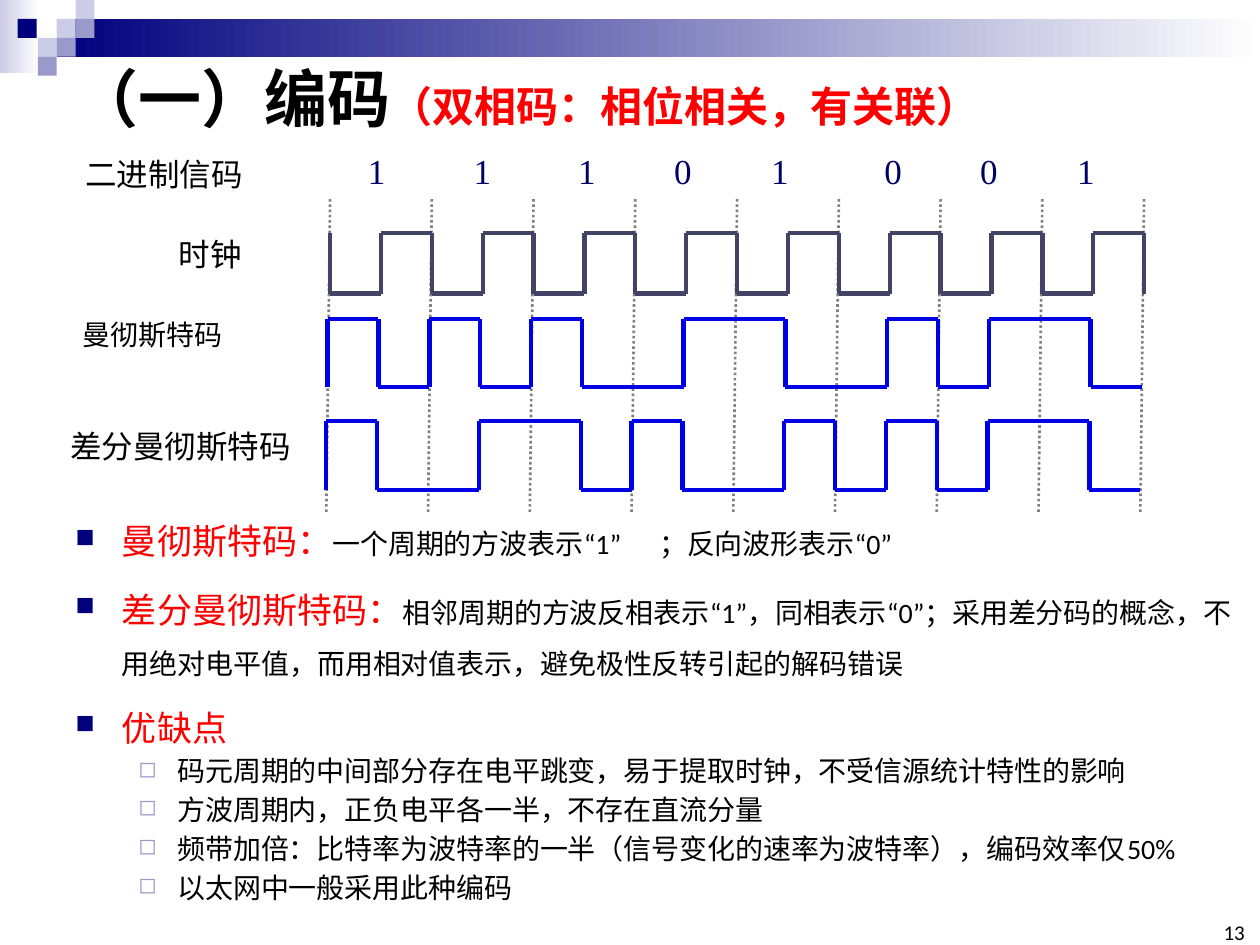
from lxml.etree import SubElement
from pptx import Presentation
from pptx.dml.color import RGBColor
from pptx.enum.dml import MSO_LINE
from pptx.enum.shapes import MSO_CONNECTOR, MSO_SHAPE
from pptx.enum.text import MSO_ANCHOR as Anchor, MSO_AUTO_SIZE as AutoSize, PP_ALIGN as Align
from pptx.oxml.ns import qn
from pptx.util import Inches, Pt

COLORS = {
    "navy": "00007D", "lilac": "9999CC", "pale": "CCCCE6", "white": "FFFFFF",
    "black": "000000", "red": "FF0000", "bits": "000066",
    "grid": "808080", "clock": "434365", "code": "0000E4",
}
CALIBRI, NOTO, TIMES = "Calibri", "Noto Sans CJK SC", "Times New Roman"


def add_run(paragraph, text, size, color="black", face=CALIBRI, bold=False):
    run = paragraph.add_run()
    run.text = text
    for name, value in {"size": Pt(size), "name": face, "bold": bold}.items():
        setattr(run.font, name, value)
    run.font.color.rgb = RGBColor.from_string(COLORS[color])
    SubElement(run.font._element, qn("a:ea"), typeface=face)
    return run


def add_line(start, end, color, width):
    line = slide.shapes.add_connector(
        MSO_CONNECTOR.STRAIGHT, *(Inches(v) for v in (*start, *end)))
    line.line.color.rgb = RGBColor.from_string(COLORS[color])
    line.line.width = Pt(width)
    SubElement(line._element.spPr, qn("a:effectLst"))
    return line


prs = Presentation()
prs.slide_width, prs.slide_height = Inches(10), Inches(7.5)
slide = prs.slides.add_slide(prs.slide_layouts[5])

# Header band and mosaic: a pair of colours is a gradient
HEADER = [
    (0, 0, 0.31, 0.58, ("pale", "white")),
    (0.45, 0.15, 9.55, 0.3, ("navy", "white")),
]
MOSAIC = [(0.45, 0.15, "pale"), (0.6, 0, "pale"), (0.6, 0.15, "lilac"), (0.3, 0.3, "pale"),
          (0.14, 0.15, "navy"), (0.45, 0.3, "lilac"), (0.3, 0.45, "lilac")]
HEADER += [(x, y, 0.15, 0.15, (color,)) for x, y, color in MOSAIC]
for *place, tones in HEADER:
    tile = slide.shapes.add_shape(MSO_SHAPE.RECTANGLE, *(Inches(v) for v in place))
    tile.shadow.inherit = False
    tile.line.fill.background()
    if len(tones) == 2:
        tile.fill.gradient()
        tile.fill.gradient_angle = 0
        for stop, tone in zip(tile.fill.gradient_stops, tones):
            stop.color.rgb = RGBColor.from_string(COLORS[tone])
    else:
        tile.fill.solid()
        tile.fill.fore_color.rgb = RGBColor.from_string(COLORS[tones[0]])

# Title
title = slide.shapes.title
for name, value in {"left": 0.5, "top": 0.33, "width": 9, "height": 0.89}.items():
    setattr(title, name, Inches(value))
for name, value in {"auto_size": AutoSize.NONE, "vertical_anchor": Anchor.MIDDLE}.items():
    setattr(title.text_frame, name, value)
heading = title.text_frame.paragraphs[0]
heading.alignment = Align.LEFT
add_run(heading, "（一）编码", 36, face=NOTO, bold=True)
add_run(heading, "（双相码：相位相关，有关联）", 24, "red", NOTO, True)

# Row labels: place, text, size, face, wrap
LABELS = [
    ((0.58, 1.18, 1.53, 0.4), "二进制信码", 18, NOTO, False),
    ((1.32, 1.82, 0.71, 0.4), "时钟", 18, NOTO, False),
    ((0.56, 2.47, 1.8, 0.37), "曼彻斯特码", 16, CALIBRI, True),
    ((0.46, 3.34, 2.14, 0.4), "差分曼彻斯特码", 18, CALIBRI, True),
]
for place, text, size, face, wrap in LABELS:
    label = slide.shapes.add_textbox(*(Inches(v) for v in place)).text_frame
    label.word_wrap = wrap
    add_run(label.paragraphs[0], text, size, face=face)

# Binary code, each bit centred on its own tab stop
BITS = "11101001"
BIT_TABS = [0.34, 1.18, 2.01, 2.77, 3.54, 4.44, 5.2, 5.97]
bit_row = slide.shapes.add_textbox(
    Inches(2.55), Inches(1.14), Inches(6.85), Inches(0.44)).text_frame
bit_row.word_wrap = True
bit_line = bit_row.paragraphs[0]
tab_list = SubElement(bit_line._p.get_or_add_pPr(), qn("a:tabLst"))
for tab in BIT_TABS:
    SubElement(tab_list, qn("a:tab"), pos=str(Inches(tab)), algn="ctr")
add_run(bit_line, "".join("\t" + bit for bit in BITS), 20, "bits", TIMES)

# Dotted bit boundaries, slightly slanted
GRID_LEFT, GRID_RIGHT = 2.62, 9.08
bit_width = (GRID_RIGHT - GRID_LEFT) / len(BITS)
for i in range(len(BITS) + 1):
    x = GRID_LEFT + i * bit_width
    boundary = add_line((x, 1.58), (x - 0.03, 4.07), "grid", 1.5)
    boundary.line.dash_style = MSO_LINE.ROUND_DOT

# Levels per half bit: 1 is high-low in Manchester, and flips the phase in the differential code
manchester, differential, phase = "", "", "LH"
for bit in BITS:
    manchester += "HL" if bit == "1" else "LH"
    if bit == "1":
        phase = phase[::-1]
    differential += phase

# Waveforms: left, high y, low y, levels, level before, level after, colour
WAVES = [
    (2.62, 1.85, 2.33, "LH" * len(BITS), "H", "L", "clock"),
    (2.6, 2.53, 3.07, manchester, "L", "L", "code"),
    (2.59, 3.34, 3.89, differential, "L", "L", "code"),
]
half = bit_width / 2
for left, high, low, levels, before, after, color in WAVES:
    level_y = {"H": high, "L": low}
    for i, level in enumerate(levels + after):
        x = left + i * half
        if level != before:
            add_line((x, low), (x, high), color, 2.5)
        if i < len(levels):
            add_line((x, level_y[level]), (x + half, level_y[level]), color, 2.5)
        before = level

# Explanation: level, then runs of text, size, colour
NOTES = [
    (0, [("曼彻斯特码：", 20, "red"), ("一个周期的方波表示“1”", 16, "black"),
         (" ", 16, "black"), ("；反向波形表示“0”", 16, "black")]),
    (0, [("差分曼彻斯特码：", 20, "red"),
         ("相邻周期的方波反相表示“1”，同相表示“0”；采用差分码的概念，"
          "不用绝对电平值，而用相对值表示，避免极性反转引起的解码错误", 16, "black")]),
    (0, [("优缺点", 20, "red")]),
    (1, [("码元周期的中间部分存在电平跳变，易于提取时钟，不受信源统计特性的影响", 16, "black")]),
    (1, [("方波周期内，正负电平各一半，不存在直流分量", 16, "black")]),
    (1, [("频带加倍：比特率为波特率的一半（信号变化的速率为波特率），编码效率仅50%", 16, "black")]),
    (1, [("以太网中一般采用此种编码", 16, "black")]),
]
# Per level: margin, hanging indent, line spacing, bullet, colour, size in percent
BULLETS = [(0.37, -0.37, 1.5, "■", "navy", 75), (0.81, -0.31, 1.0, "◻", "lilac", 80)]
notes = slide.shapes.add_textbox(
    Inches(0.5), Inches(3.91), Inches(9.5), Inches(3.59)).text_frame
notes.word_wrap = True
for i, (level, runs) in enumerate(NOTES):
    note = notes.add_paragraph() if i else notes.paragraphs[0]
    margin, indent, spacing, mark, mark_color, mark_size = BULLETS[level]
    for name, value in {"level": level, "line_spacing": spacing, "space_before": Pt(3)}.items():
        setattr(note, name, value)
    props = note._p.get_or_add_pPr()
    props.set("marL", str(Inches(margin)))
    props.set("indent", str(Inches(indent)))
    SubElement(SubElement(props, qn("a:buClr")), qn("a:srgbClr"), val=COLORS[mark_color])
    SubElement(props, qn("a:buSzPct"), val=str(mark_size * 1000))
    SubElement(props, qn("a:buChar"), char=mark)
    for text, size, color in runs:
        run = add_run(note, text, size, color)
        if text == " ":
            run.font._element.set("spc", "1800")  # widens the gap between the two clauses

# Page number
page = slide.shapes.add_textbox(
    Inches(9.65), Inches(7.33), Inches(0.23), Inches(0.17)).text_frame
PAGE_FORMAT = {"margin_left": 0, "margin_right": 0, "margin_top": 0, "margin_bottom": 0,
               "vertical_anchor": Anchor.BOTTOM, "word_wrap": True}
for name, value in PAGE_FORMAT.items():
    setattr(page, name, value)
page.paragraphs[0].alignment = Align.RIGHT
add_run(page.paragraphs[0], "13", 12)

prs.save("out.pptx")
